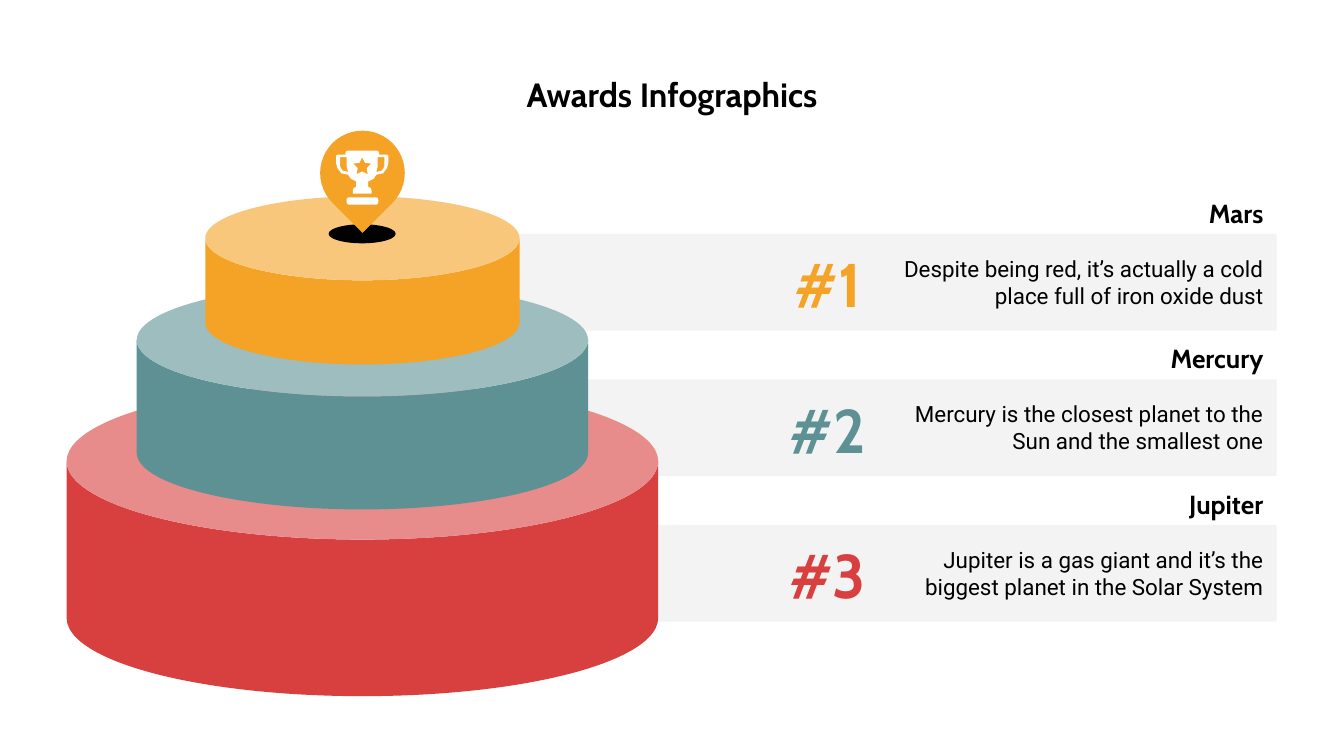
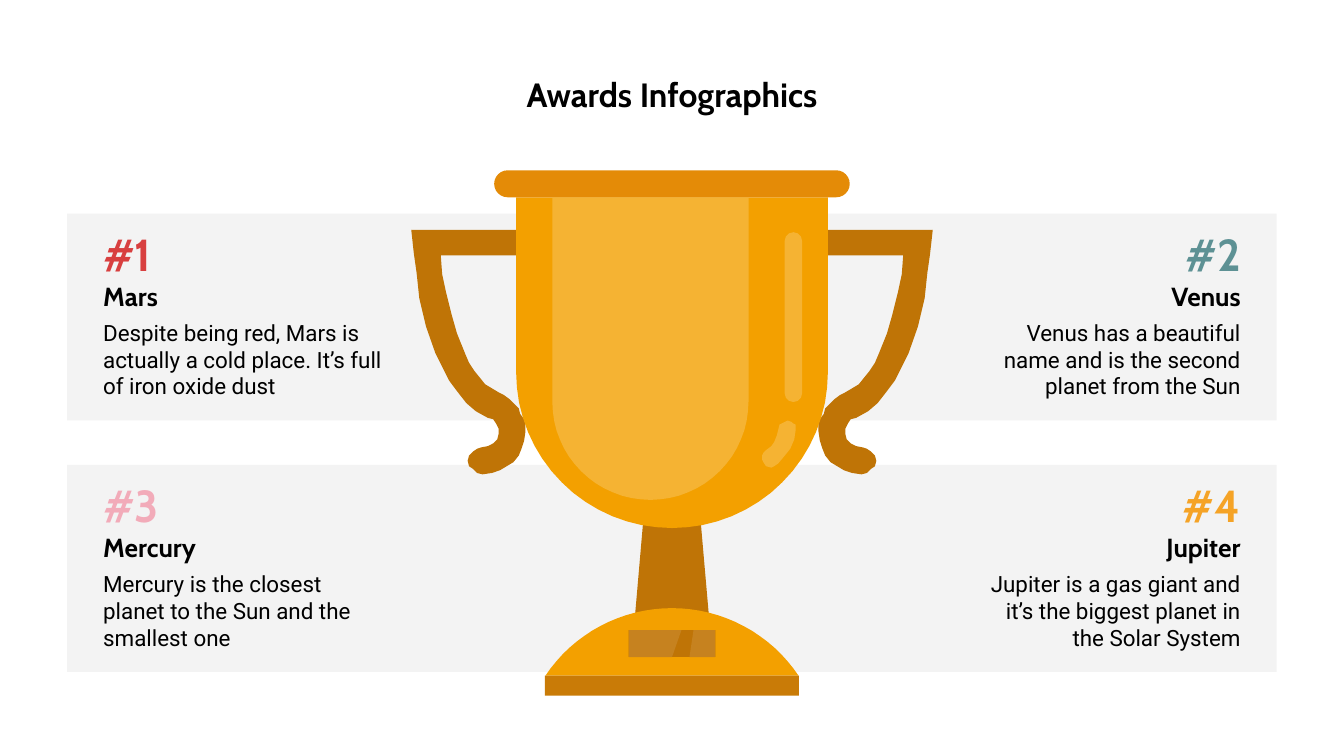
"""Build two award infographic slides: a podium ranking and a large trophy."""
import math

import pptx
import pptx.dml.color
import pptx.enum.shapes
import pptx.enum.text
import pptx.util

Cm = pptx.util.Cm
Shapes = pptx.enum.shapes.MSO_SHAPE
Align = pptx.enum.text.PP_ALIGN
Anchor = pptx.enum.text.MSO_ANCHOR

HEADING_FONT, BODY_FONT = "Cabin", "Roboto"
BLACK, WHITE, BAND = "000000", "FFFFFF", "F3F3F3"
RED, TEAL, ORANGE, PINK = "D83F3F", "5D9194", "F5A326", "F2ABB9"
GOLD, LIGHT_GOLD, RIM_GOLD = "F3A000", "F5B333", "E48B07"
BRONZE, LIGHT_BRONZE, FOOT_BRONZE = "BF7406", "C6821F", "C97B07"
MARGIN, CONTENT_WIDTH = 1.27, 22.86
PODIUM_AXIS = 6.85

# Outline points are in hundredths of an inch.
OUTLINE_SCALE = Cm(2.54) / 1000
TROPHY_AXIS, ICON_AXIS = 500, 269.5
HANDLE = [
    (306, 171), (308, 189), (310, 203), (312, 222), (317, 243), (324, 263),
    (334, 283), (340, 291), (347, 300), (354, 306), (363, 311), (367, 312),
    (369, 315), (371, 319), (371, 323), (370, 327), (367, 330), (363, 332),
    (358, 333), (355, 334), (352, 336), (349, 339), (348, 343), (349, 347),
    (352, 349), (355, 352), (359, 353), (366, 352), (372, 350), (377, 347),
    (382, 344), (386, 339), (388, 334), (390, 328), (391, 321), (391, 316),
    (390, 312), (387, 308), (386, 304), (382, 300), (379, 297), (375, 294),
    (371, 292), (366, 289), (361, 286), (357, 281), (353, 276), (349, 270),
    (346, 263), (340, 248), (336, 234), (332, 218), (329, 204), (328, 190),
    (405, 190), (405, 171)]
LOWER_SHINE = [
    (586, 313), (582, 315), (580, 316), (579, 320), (578, 324), (576, 329),
    (574, 332), (570, 335), (568, 337), (567, 339), (567, 342), (568, 344),
    (570, 347), (574, 348), (576, 347), (579, 345), (584, 339), (588, 334),
    (591, 327), (592, 320), (592, 316), (590, 315), (589, 314)]
ICON_HALF = [
    (280, 112), (281.5, 112.5), (282, 114), (282, 115), (288, 115), (289, 116),
    (289, 121), (288, 125), (285, 129), (280, 130), (278, 133), (274, 135),
    (274, 139), (276, 140), (276.5, 142), (276.5, 144)]
ICON_HANDLE_GAP = [
    (258, 117), (258, 124), (259, 128), (255, 127), (253, 124), (253, 117)]


def paint(shape, color):
    """Give a shape a plain fill without line or shadow."""
    shape.shadow.inherit = False
    shape.fill.solid()
    shape.fill.fore_color.rgb = pptx.dml.color.RGBColor.from_string(color)
    shape.line.fill.background()
    return shape


def add_preset(page, kind, left, top, width, height, color, adjustment=None):
    """Add a painted preset shape, measured in centimetres."""
    shape = page.shapes.add_shape(kind, Cm(left), Cm(top), Cm(width), Cm(height))
    if adjustment is not None:
        shape.adjustments[0] = adjustment
    return paint(shape, color)


def add_outline(page, color, *contours):
    """Add one painted freeform made of closed contours."""
    builder = None
    for contour in contours:
        points = [(x * 10, y * 10) for x, y in contour]
        if builder is None:
            builder = page.shapes.build_freeform(*points[0], scale=OUTLINE_SCALE)
        else:
            builder.move_to(*points[0])
        builder.add_line_segments(points[1:], close=True)
    return paint(builder.convert_to_shape(), color)


def mirror(points, axis):
    """Reflect points across a vertical axis."""
    return [(2 * axis - x, y) for x, y in points]


def arc(center_x, center_y, radius, start, end, steps=32):
    """List the points of a circular arc between two angles in degrees."""
    angles = [math.radians(start + (end - start) * step / steps)
              for step in range(steps + 1)]
    return [(center_x + radius * math.cos(angle),
             center_y + radius * math.sin(angle)) for angle in angles]


def goblet(center_x, center_y, radius, top):
    """Outline a straight-sided bowl with a round bottom."""
    return [(center_x - radius, top), (center_x + radius, top),
            *arc(center_x, center_y, radius, 0, 180)]


def star(center_x, center_y, outer, inner):
    """Outline a five-pointed star."""
    points = []
    for corner in range(10):
        radius = inner if corner % 2 else outer
        angle = math.radians(36 * corner - 90)
        points.append((center_x + radius * math.cos(angle),
                       center_y + radius * math.sin(angle)))
    return points


def format_text(box, text, size, font, color, align, anchor, bold):
    """Fill a box with one formatted paragraph."""
    frame = box.text_frame
    frame.word_wrap = True
    frame.auto_size = pptx.enum.text.MSO_AUTO_SIZE.NONE
    frame.vertical_anchor = anchor
    frame.margin_left = frame.margin_right = Cm(0.25)
    frame.margin_top = frame.margin_bottom = Cm(0.25)
    frame.text = text
    paragraph = frame.paragraphs[0]
    paragraph.alignment = align
    paragraph.font.size = pptx.util.Pt(size)
    paragraph.font.name = font
    paragraph.font.bold = bold
    paragraph.font.color.rgb = pptx.dml.color.RGBColor.from_string(color)


def add_text(page, text, left, top, width, height, size, align,
             font=HEADING_FONT, color=BLACK):
    """Add a text box, with headings in bold."""
    box = page.shapes.add_textbox(Cm(left), Cm(top), Cm(width), Cm(height))
    format_text(box, text, size, font, color, align, Anchor.MIDDLE,
                font == HEADING_FONT)


def add_page(deck, title):
    """Add a title-only slide with the shared title style."""
    page = deck.slides.add_slide(deck.slide_layouts[5])
    box = page.shapes.title
    box.left, box.top = Cm(MARGIN), Cm(1.14)
    box.width, box.height = Cm(CONTENT_WIDTH), Cm(1.35)
    format_text(box, title, 18, HEADING_FONT, BLACK, Align.CENTER, Anchor.TOP, True)
    return page


def add_rank_row(page, top, number, color, name, description):
    """Add a grey band with its rank, name and description."""
    add_preset(page, Shapes.RECTANGLE, 7.54, top, 16.59, 1.83, BAND)
    add_text(page, name, 18.31, top - 0.79, 5.82, 0.79, 14, Align.RIGHT)
    add_text(page, description, 16.38, top + 0.18, 7.75, 1.45, 12,
             Align.RIGHT, BODY_FONT)
    add_text(page, number, 14.6, top + 0.13, 2.08, 1.6, 33, Align.CENTER,
             color=color)


def add_tier(page, top, width, height, color):
    """Add a podium tier centred on the podium axis."""
    add_preset(page, Shapes.CAN, PODIUM_AXIS - width / 2, top, width, height,
               color, 0.5)


def add_trophy_pin(page):
    """Add the map pin with a small trophy on top of the podium."""
    add_preset(page, Shapes.OVAL, PODIUM_AXIS - 0.64, 4.24, 1.27, 0.36, BLACK)
    pin = add_preset(page, Shapes.TEAR, PODIUM_AXIS - 0.8, 2.47, 1.6, 1.6, ORANGE, 1)
    pin.rotation = 135
    add_preset(page, Shapes.ROUNDED_RECTANGLE, PODIUM_AXIS - 0.3, 3.73, 0.6, 0.14,
               WHITE, 0.35)
    add_outline(page, WHITE,
                ICON_HALF + mirror(ICON_HALF, ICON_AXIS)[::-1],
                ICON_HANDLE_GAP, mirror(ICON_HANDLE_GAP, ICON_AXIS),
                star(ICON_AXIS, 124, 7, 3.6))


def add_corner_note(page, top, align, number, color, name, description):
    """Add a numbered note at the left or right end of a band."""
    on_right = align == Align.RIGHT
    description_width = 5.54 if on_right else 5.82
    lines = [(number, 0.36, 1.7, 0.79, 24, HEADING_FONT, color),
             (name, 1.16, 5.82, 0.79, 14, HEADING_FONT, BLACK),
             (description, 1.95, description_width, 1.6, 12, BODY_FONT, BLACK)]
    for text, offset, width, height, size, font, text_color in lines:
        left = 23.7 - width if on_right else 1.7
        add_text(page, text, left, top + offset, width, height, size, align,
                 font, text_color)


def add_trophy(page):
    """Draw the large trophy in the middle of the slide."""
    add_outline(page, BRONZE, HANDLE)
    add_outline(page, BRONZE, mirror(HANDLE, TROPHY_AXIS))
    add_outline(page, BRONZE, [(482, 349), (472, 464), (528, 464), (518, 349)])
    add_outline(page, GOLD, arc(TROPHY_AXIS, 566, 113.4, 213.8, 326.2))
    add_preset(page, Shapes.RECTANGLE, 11.88, 11.91, 1.64, 0.51, BRONZE)
    add_outline(page, LIGHT_BRONZE, [(468, 469), (468, 489), (500, 489), (507, 469)])
    add_outline(page, LIGHT_BRONZE, [(516, 469), (513, 489), (532, 489), (532, 469)])
    add_preset(page, Shapes.RECTANGLE, 10.3, 12.77, 4.8, 0.38, FOOT_BRONZE)
    add_outline(page, GOLD, goblet(TROPHY_AXIS, 277, 116, 147))
    add_preset(page, Shapes.ROUNDED_RECTANGLE, 9.34, 3.22, 6.72, 0.51, RIM_GOLD, 0.5)
    add_preset(page, Shapes.ROUNDED_RECTANGLE, 14.83, 4.39, 0.33, 3.21,
               LIGHT_GOLD, 0.5)
    add_outline(page, LIGHT_GOLD, LOWER_SHINE)
    add_outline(page, LIGHT_GOLD, goblet(484, 299, 73, 147))


def build_podium_page(deck):
    """Build the slide with the three-tier podium."""
    page = add_page(deck, "Awards Infographics")
    rows = [
        ("#1", ORANGE, "Mars",
         "Despite being red, it’s actually a cold place full of iron oxide dust"),
        ("#2", TEAL, "Mercury",
         "Mercury is the closest planet to the Sun and the smallest one"),
        ("#3", RED, "Jupiter",
         "Jupiter is a gas giant and it’s the biggest planet in the Solar System")]
    for index, row in enumerate(rows):
        add_rank_row(page, 4.42 + 2.75 * index, *row)
    add_tier(page, 7.24, 11.18, 5.92, RED)
    add_tier(page, 5.36, 8.53, 4.27, TEAL)
    add_tier(page, 3.71, 5.94, 3.18, ORANGE)
    add_trophy_pin(page)


def build_trophy_page(deck):
    """Build the slide with four notes around the trophy."""
    page = add_page(deck, "Awards Infographics")
    bands = [
        [(Align.LEFT, "#1", RED, "Mars",
          "Despite being red, Mars is actually a cold place. "
          "It’s full of iron oxide dust"),
         (Align.RIGHT, "#2", TEAL, "Venus",
          "Venus has a beautiful name and is the second planet from the Sun")],
        [(Align.LEFT, "#3", PINK, "Mercury",
          "Mercury is the closest planet to the Sun and the smallest one"),
         (Align.RIGHT, "#4", ORANGE, "Jupiter",
          "Jupiter is a gas giant and it’s the biggest planet in the Solar System")]]
    for index, notes in enumerate(bands):
        top = 4.04 + 4.75 * index
        add_preset(page, Shapes.RECTANGLE, MARGIN, top, CONTENT_WIDTH, 3.91, BAND)
        for note in notes:
            add_corner_note(page, top, *note)
    add_trophy(page)


def main():
    """Create and save the presentation."""
    deck = pptx.Presentation()
    deck.slide_width, deck.slide_height = Cm(25.4), Cm(14.29)
    build_podium_page(deck)
    build_trophy_page(deck)
    deck.save("out.pptx")


if __name__ == "__main__":
    main()
